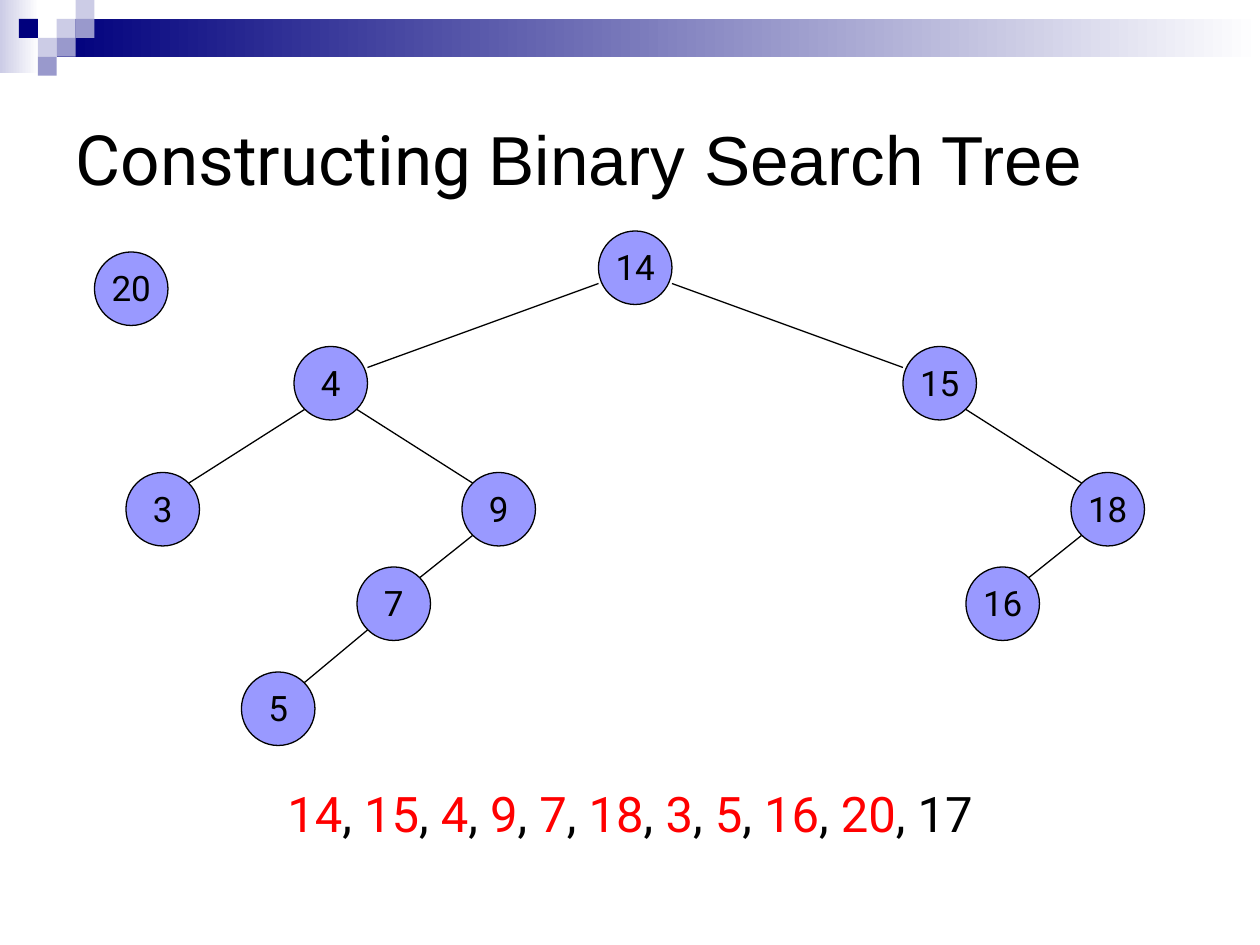
import dataclasses

import pptx
import pptx.dml.color
import pptx.enum.shapes
import pptx.enum.text
import pptx.oxml
import pptx.util

Pt = pptx.util.Pt
SHAPES = pptx.enum.shapes.MSO_SHAPE
ALIGN = pptx.enum.text.PP_ALIGN
ANCHOR = pptx.enum.text.MSO_ANCHOR


@dataclasses.dataclass(frozen=True)
class Theme:
    """Colours, fonts and sizes of the slide."""
    navy: str = "00007D"
    mid: str = "9999CC"
    light: str = "CCCCE6"
    white: str = "FFFFFF"
    black: str = "000000"
    red: str = "FF0000"
    node: str = "9999FF"
    font: str = "Roboto"
    title_font: str = "Arial"
    title_size: float = 39.6
    sequence_size: float = 28
    node_size: float = 20
    line_width: float = 0.75


@dataclasses.dataclass(frozen=True)
class Box:
    """A rectangle in points."""
    left: float
    top: float
    width: float
    height: float

    def lengths(self):
        """Return the four lengths for a new shape."""
        return [Pt(value) for value in (self.left, self.top, self.width, self.height)]


THEME = Theme()
NODE = 42
ROOT = 14
POSITIONS = {
    14: (288, 0), 15: (462, 66), 4: (114, 66), 9: (210, 138), 7: (150, 192),
    18: (558, 138), 3: (18, 138), 5: (84, 252), 16: (498, 192),
}
EDGES = [(14, 15), (14, 4), (4, 9), (9, 7), (15, 18), (4, 3), (7, 5), (18, 16)]
SEQUENCE = [14, 15, 4, 9, 7, 18, 3, 5, 16, 20, 17]
PENDING = 17


def rgb(color):
    """Return the colour object of a hex string."""
    return pptx.dml.color.RGBColor.from_string(color)


def add_text(paragraph, text, font=THEME.font, size=THEME.node_size, color=THEME.black):
    """Append a formatted run to a paragraph."""
    run = paragraph.add_run()
    run.text = text
    run.font.name = font
    run.font.size = Pt(size)
    run.font.color.rgb = rgb(color)


def add_centred_box(shapes, box):
    """Add a text box and return its centred paragraph."""
    frame = shapes.add_textbox(*box.lengths()).text_frame
    frame.word_wrap = True
    paragraph = frame.paragraphs[0]
    paragraph.alignment = ALIGN.CENTER
    return paragraph


def add_filled(shapes, preset, box, colors, outline=None):
    """Add a shape with a plain fill, or a gradient for two colours."""
    shape = shapes.add_shape(preset, *box.lengths())
    shape.shadow.inherit = False
    if len(colors) == 1:
        shape.fill.solid()
        shape.fill.fore_color.rgb = rgb(colors[0])
    else:
        shape.fill.gradient()
        shape.fill.gradient_angle = 0
        for stop, color in zip(shape.fill.gradient_stops, colors):
            stop.color.rgb = rgb(color)
    if outline:
        shape.line.color.rgb = rgb(outline)
        shape.line.width = Pt(THEME.line_width)
    else:
        shape.line.fill.background()


def add_edge(shapes, start, end):
    """Add a thin line between two points."""
    line = shapes.add_connector(
        pptx.enum.shapes.MSO_CONNECTOR.STRAIGHT, *[Pt(value) for value in (*start, *end)])
    line.line.color.rgb = rgb(THEME.black)
    line.line.width = Pt(THEME.line_width)
    properties = line._element.spPr
    properties.append(properties.makeelement(pptx.oxml.ns.qn("a:effectLst"), {}))


def draw_header(slide, box):
    """Draw the gradient bar and the mosaic of squares."""
    shapes = slide.shapes.add_group_shape().shapes
    cell = 10.8
    bar_left = box.left + 3 * cell
    add_filled(shapes, SHAPES.RECTANGLE, Box(box.left, box.top, 22.3, 42),
               [THEME.light, THEME.white])
    add_filled(shapes, SHAPES.RECTANGLE,
               Box(bar_left, box.top + cell, box.left + box.width - bar_left, 2 * cell),
               [THEME.navy, THEME.white])
    squares = {
        THEME.light: [(3, 1), (4, 0), (2, 2)],
        THEME.mid: [(4, 1), (3, 2), (2, 3)],
        THEME.navy: [(1, 1)],
    }
    for color, places in squares.items():
        for column, row in places:
            square = Box(box.left + column * cell, box.top + row * cell, cell, cell)
            add_filled(shapes, SHAPES.RECTANGLE, square, [color])


def draw_title(slide, box):
    """Place and format the title placeholder."""
    title = slide.shapes.title
    title.left, title.top, title.width, title.height = box.lengths()
    frame = title.text_frame
    frame.word_wrap = True
    frame.vertical_anchor = ANCHOR.MIDDLE
    paragraph = frame.paragraphs[0]
    paragraph.alignment = ALIGN.LEFT
    add_text(paragraph, "Constructing ", size=THEME.title_size)
    add_text(paragraph, "Binary Search Tree", font=THEME.title_font, size=THEME.title_size)


def draw_node(shapes, box, value):
    """Draw a circle with its number."""
    add_filled(shapes, SHAPES.OVAL, box, [THEME.node], outline=THEME.black)
    label = Box(box.left - 6, box.top + 5, box.width + 12, 31)
    add_text(add_centred_box(shapes, label), str(value))


def draw_tree(slide, box):
    """Draw the nodes of the tree and the edges between them."""
    shapes = slide.shapes.add_group_shape().shapes
    places = {value: (box.left + x, box.top + y) for value, (x, y) in POSITIONS.items()}
    for value, (left, top) in places.items():
        draw_node(shapes, Box(left, top, NODE, NODE), value)
    for parent, child in EDGES:
        inset, drop, entry = (0, 30, 12) if parent == ROOT else (6, 36, 6)
        (parent_x, parent_y), (child_x, child_y) = places[parent], places[child]
        near, far = inset, NODE - inset
        if child_x > parent_x:
            near, far = far, near
        add_edge(shapes, (parent_x + near, parent_y + drop), (child_x + far, child_y + entry))


def draw_sequence(slide, box):
    """Write the insertion order, with the inserted values in red."""
    paragraph = add_centred_box(slide.shapes, box)
    for index, value in enumerate(SEQUENCE):
        if index:
            add_text(paragraph, ", ", size=THEME.sequence_size)
        color = THEME.black if value == PENDING else THEME.red
        add_text(paragraph, str(value), size=THEME.sequence_size, color=color)


def main():
    """Build the slide and save it."""
    presentation = pptx.Presentation()
    presentation.slide_width, presentation.slide_height = Pt(720), Pt(540)
    slide = presentation.slides.add_slide(presentation.slide_layouts[5])
    draw_header(slide, Box(0, 0, 720, 43.2))
    draw_title(slide, Box(36, 36, 648, 108))
    draw_sequence(slide, Box(36, 444, 648, 54))
    draw_tree(slide, Box(54, 132, 600, 294))
    draw_node(slide.shapes.add_group_shape().shapes, Box(54, 144, NODE, NODE), 20)
    presentation.save("out.pptx")


if __name__ == "__main__":
    main()
